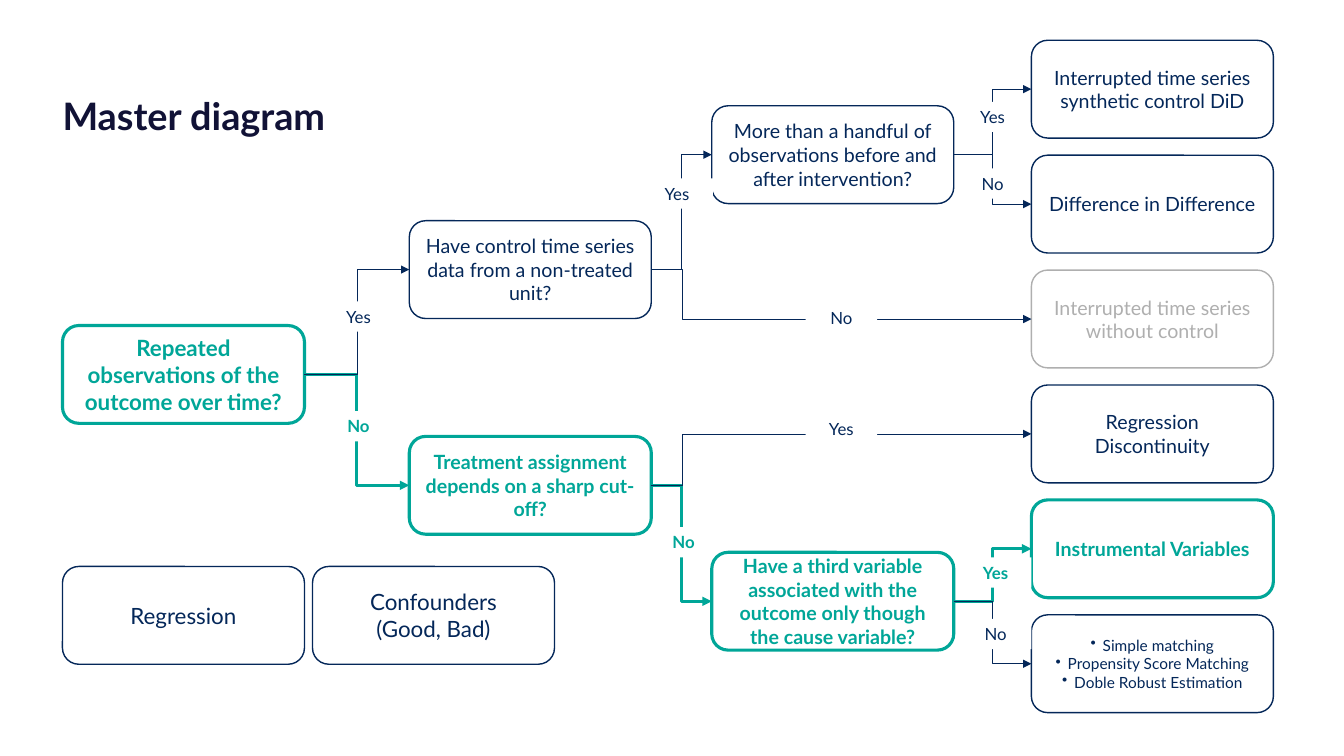
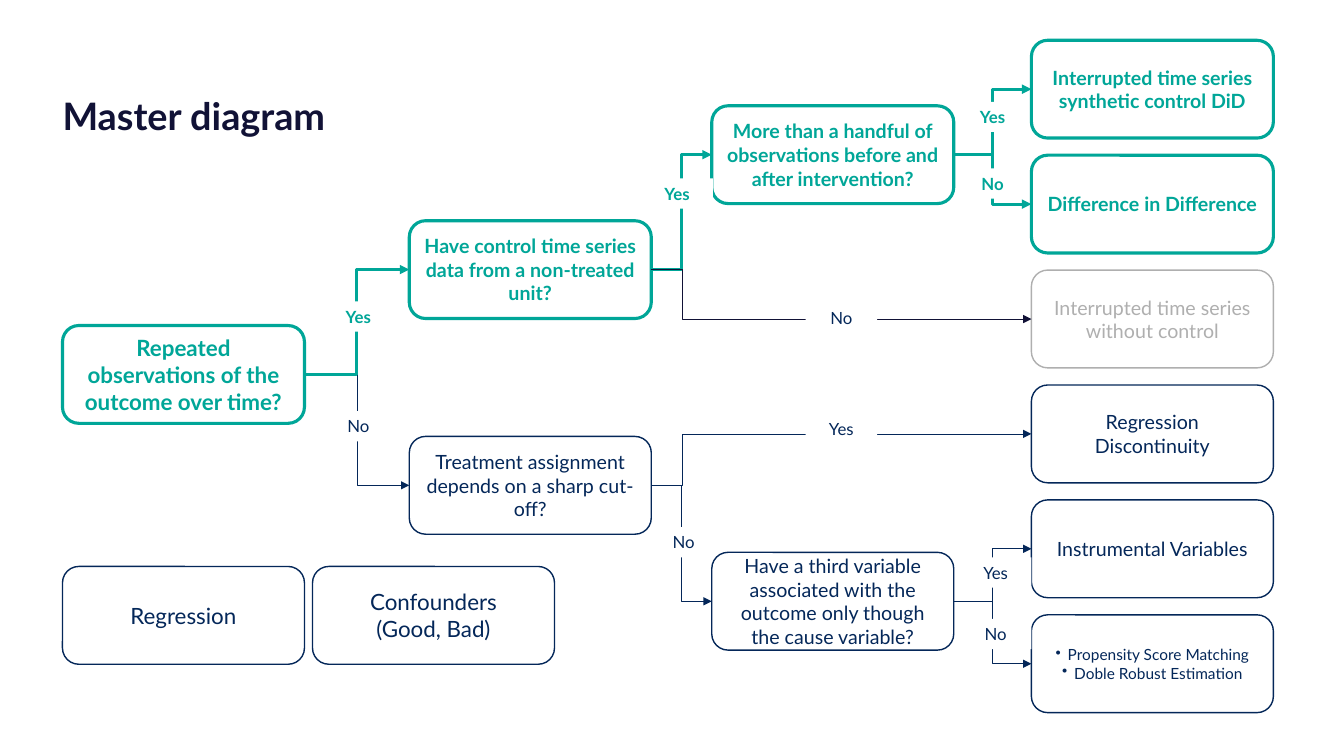
from lxml.etree import SubElement
from pptx import Presentation
from pptx.dml.color import RGBColor
from pptx.enum.shapes import MSO_CONNECTOR, MSO_SHAPE
from pptx.enum.text import MSO_ANCHOR, MSO_AUTO_SIZE, PP_ALIGN
from pptx.oxml.ns import qn
from pptx.util import Inches, Pt

FONT = "Lato"
INK = RGBColor(0x11, 0x12, 0x36)
NAVY = RGBColor(0x04, 0x27, 0x59)
TEAL = RGBColor(0x00, 0xA6, 0x98)
GRAY = RGBColor(0xAF, 0xAF, 0xAF)
WHITE = RGBColor(0xFF, 0xFF, 0xFF)

BOX_W, BOX_H = 2.4, 0.97
COL_2, COL_3, COL_4 = 3.44, 6.44, 9.61
ROW_STEP = 1.14

QUESTIONS = {
    "repeated": (0, 2.83, "Repeated observations of the outcome over time?", 16),
    "control": (COL_2, 1.79, "Have control time series data from a non-treated unit?", 14),
    "cutoff": (COL_2, 3.93, "Treatment assignment depends on a sharp cut-off?", 14),
    "handful": (COL_3, 0.65, "More than a handful of observations before and after intervention?", 14),
    "third": (COL_3, 5.08, "Have a third variable associated with the outcome only though the cause variable?", 14),
}
METHODS = {
    "synthetic": "Interrupted time series synthetic control DiD",
    "did": "Difference in Difference",
    "no_control": "Interrupted time series without control",
    "discontinuity": "Regression Discontinuity",
    "instrumental": "Instrumental Variables",
}
BRANCHES = [
    ("handful", "synthetic", "Yes", 8.87, 0.61, 0.71),
    ("handful", "did", "No", 8.87, 1.27, 0.71),
    ("control", "handful", "Yes", 5.74, 1.37, 0.71),
    ("control", "no_control", "No", 7.37, 2.6, 0.71),
    ("third", "instrumental", "Yes", 8.9, 5.13, 0.71),
    ("third", "matching", "No", 8.9, 5.74, 0.71),
    ("cutoff", "third", "No", 5.87, 4.83, 0.58),
    ("cutoff", "discontinuity", "Yes", 7.37, 3.71, 0.71),
    ("repeated", "cutoff", "No", 2.58, 3.68, 0.71),
    ("repeated", "control", "Yes", 2.58, 2.59, 0.71),
]


def write(tf, *lines, size=14, color=NAVY, bold=False, align=PP_ALIGN.CENTER,
          anchor=MSO_ANCHOR.MIDDLE, bullet=False, spacing=None):
    """Fill a text frame with one formatted paragraph per line."""
    tf.word_wrap = True
    tf.vertical_anchor = anchor
    for i, line in enumerate(lines):
        p = tf.paragraphs[0] if i == 0 else tf.add_paragraph()
        p.alignment = align
        if spacing:
            p.line_spacing = spacing
        if bullet:
            pPr = p._p.get_or_add_pPr()
            pPr.set("marL", str(Inches(0.12)))
            pPr.set("indent", str(-Inches(0.12)))
            SubElement(pPr, qn("a:buChar")).set("char", "•")
        r = p.add_run()
        r.text = line
        r.font.name, r.font.size, r.font.bold = FONT, Pt(size), bold
        r.font.color.rgb = color


def add_title(s, text, left, top, width, height):
    """Place the slide title in its placeholder."""
    sp = s.shapes.title
    sp.left, sp.top = Inches(left), Inches(top)
    sp.width, sp.height = Inches(width), Inches(height)
    tf = sp.text_frame
    tf.margin_left = tf.margin_top = tf.margin_right = tf.margin_bottom = 0
    tf.auto_size = MSO_AUTO_SIZE.NONE
    write(tf, text, size=27, color=INK, bold=True, align=PP_ALIGN.LEFT,
          anchor=MSO_ANCHOR.TOP, spacing=1.08)


def add_box(s, left, top, *lines, chosen=False, color=NAVY, **fmt):
    """Draw a rounded outline box, teal and bold when chosen."""
    sp = s.shapes.add_shape(MSO_SHAPE.ROUNDED_RECTANGLE, Inches(left), Inches(top),
                            Inches(BOX_W), Inches(BOX_H))
    sp.shadow.inherit = False
    sp.fill.background()
    color = TEAL if chosen else color
    sp.line.color.rgb = color
    sp.line.width = Pt(2.25 if chosen else 1)
    write(sp.text_frame, *lines, color=color, bold=chosen, **fmt)
    return sp


def add_arrow(s, start, end, chosen, color):
    """Join the right side of one box to the left side of another."""
    c = s.shapes.add_connector(MSO_CONNECTOR.ELBOW, 0, 0, 0, 0)
    c.begin_connect(start, 3)
    c.end_connect(end, 1)
    c.line.color.rgb = TEAL if chosen else color
    c.line.width = Pt(2.25 if chosen else 0.5)
    SubElement(c.line._get_or_add_ln(), qn("a:tailEnd")).set("type", "triangle")
    spPr = c._element.spPr
    SubElement(spPr, qn("a:effectLst"))
    if c.width > Inches(BOX_W):
        gd = SubElement(spPr.find(qn("a:prstGeom")).get_or_add_avLst(), qn("a:gd"))
        gd.set("name", "adj1")
        gd.set("fmla", "val 8100")


def add_label(s, text, left, top, width, chosen):
    """Put a white answer label over an arrow."""
    sp = s.shapes.add_textbox(Inches(left), Inches(top), Inches(width), Inches(0.3))
    sp.fill.solid()
    sp.fill.fore_color.rgb = WHITE
    write(sp.text_frame, text, size=12, color=TEAL if chosen else NAVY, bold=chosen,
          anchor=MSO_ANCHOR.TOP)


def add_tree(s, left, top, chosen, matching, no_control_color):
    """Draw the decision tree from its top left corner."""
    boxes = {}
    for key, (x, y, text, size) in QUESTIONS.items():
        boxes[key] = add_box(s, left + x, top + y, text, size=size, chosen=key in chosen)
    for row, (key, text) in enumerate(METHODS.items()):
        boxes[key] = add_box(s, left + COL_4, top + row * ROW_STEP, text,
                             chosen=key in chosen,
                             color=GRAY if key == "no_control" else NAVY)
    boxes["matching"] = add_box(s, left + COL_4, top + len(METHODS) * ROW_STEP, *matching,
                                size=11, bullet=True)
    for start, end, *_ in BRANCHES:
        add_arrow(s, boxes[start], boxes[end], {start, end} <= chosen,
                  no_control_color if end == "no_control" else NAVY)
    for start, end, answer, x, y, width in BRANCHES:
        add_label(s, answer, left + x, top + y, width, {start, end} <= chosen)


def add_basics(s, left, top):
    """Draw the two stand-alone topic boxes."""
    add_box(s, left, top, "Regression", size=16)
    add_box(s, left + 2.48, top, "Confounders", "(Good, Bad)", size=16)


def add_diagram_slide(prs, chosen, matching, no_control_color=NAVY):
    """Add one master diagram slide with a chosen route."""
    s = prs.slides.add_slide(prs.slide_layouts[5])
    add_title(s, "Master diagram", 0.62, 0.88, 7.28, 0.44)
    add_tree(s, 0.62, 0.4, chosen, matching, no_control_color)
    add_basics(s, 0.62, 5.62)


def main():
    """Build and save the presentation."""
    prs = Presentation()
    prs.slide_width, prs.slide_height = Inches(13.33), Inches(7.5)
    matching = ["Propensity Score Matching", "Doble Robust Estimation"]
    add_diagram_slide(prs, {"repeated", "cutoff", "third", "instrumental"},
                      ["Simple matching", *matching])
    add_diagram_slide(prs, {"repeated", "control", "handful", "synthetic", "did"},
                      matching, no_control_color=INK)
    prs.save("out.pptx")


if __name__ == "__main__":
    main()
